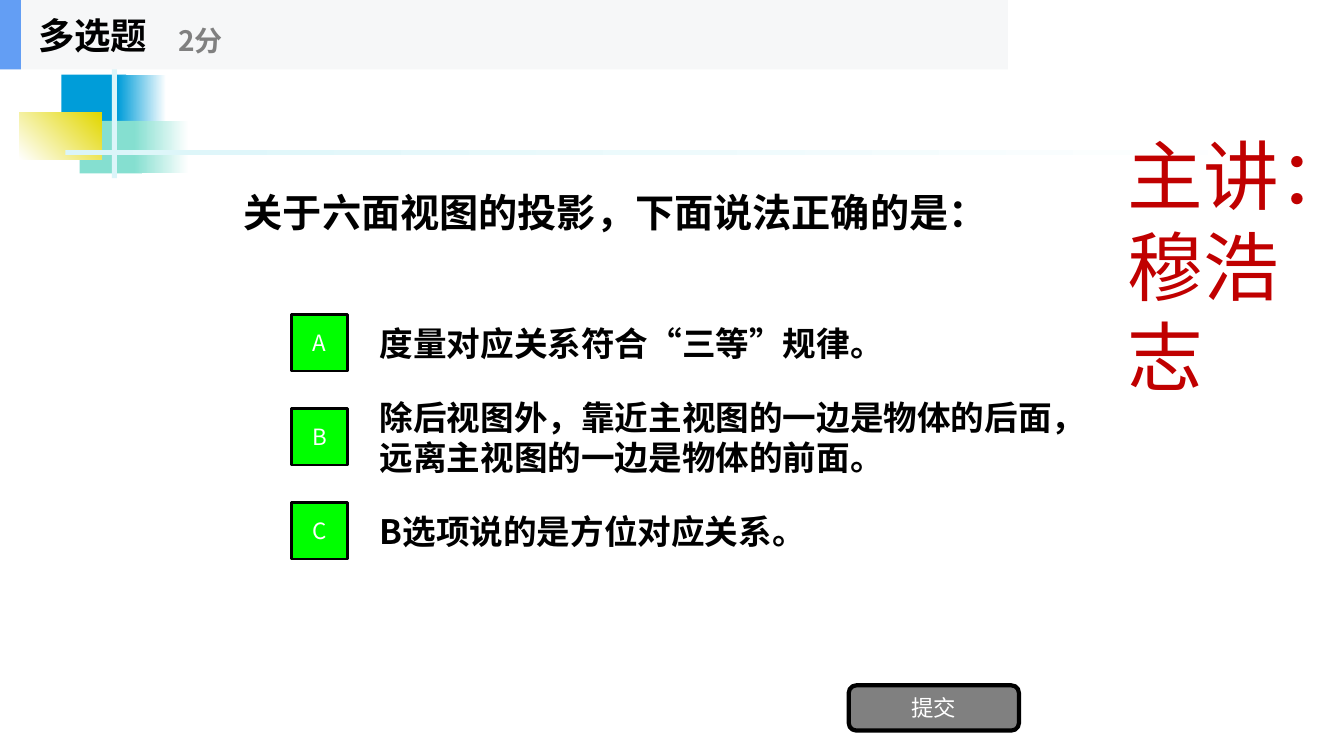
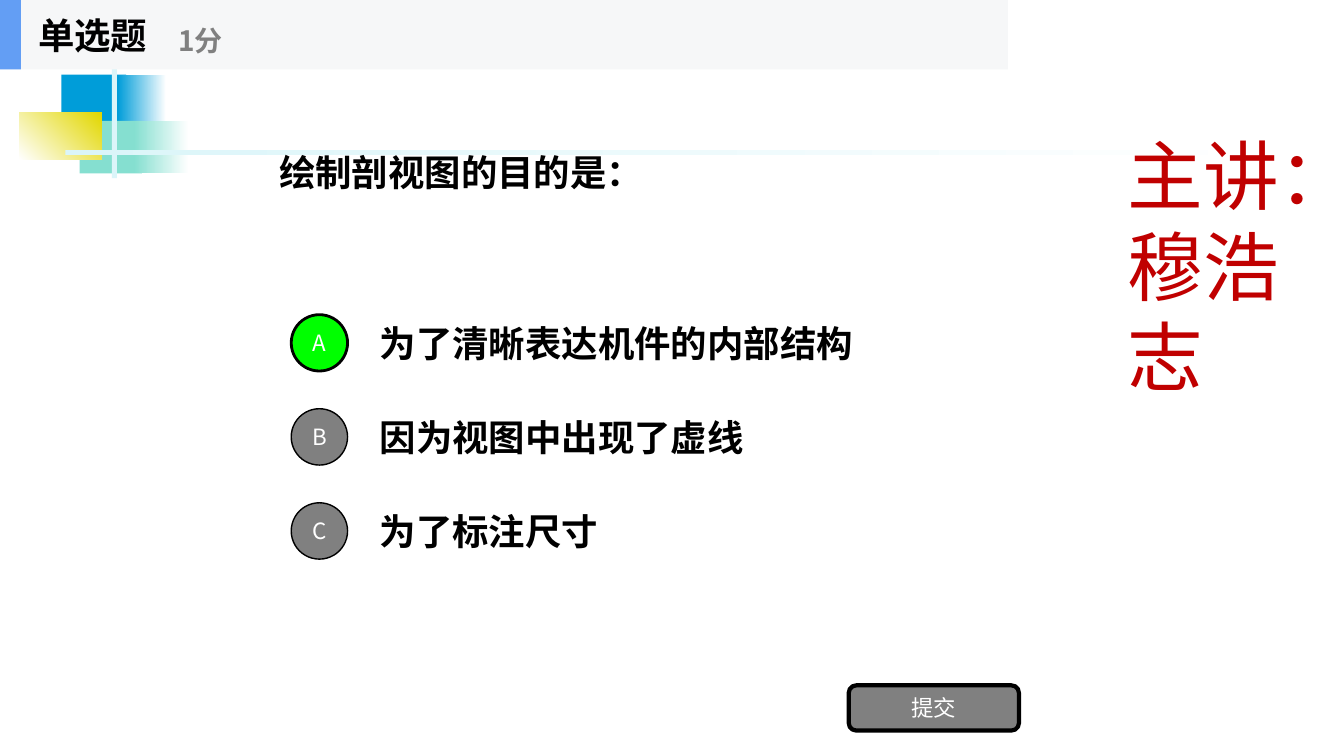
from lxml.etree import SubElement
from pptx import Presentation
from pptx.dml.color import RGBColor
from pptx.enum.shapes import MSO_SHAPE as Preset
from pptx.enum.text import MSO_ANCHOR as Anchor, MSO_AUTO_SIZE as AutoSize, PP_ALIGN as Align
from pptx.oxml.ns import qn
from pptx.util import Cm, Pt

FONT = "Noto Sans CJK SC"
COLORS = {
    "black": "000000",
    "white": "FFFFFF",
    "gray": "808080",
    "band": "F6F7F8",
    "band_accent": "639EF4",
    "blue": "009DD9",
    "teal": "85DFD0",
    "yellow": "E2D700",
    "pale": "DBF5F9",
    "red": "C00000",
    "correct": "00FF00",
}
# Left, top, width, height in cm; gradient colours or one colour; angle
DECORATION = [
    ((1.55, 1.88, 1.63, 1.32), ["blue"], 0),
    ((2.97, 1.88, 1.22, 1.32), ["blue", "white"], 0),
    ((2.01, 3.05, 1.57, 1.32), ["teal"], 0),
    ((3.38, 3.05, 1.37, 1.32), ["teal", "white"], 0),
    ((0.48, 2.84, 2.08, 1.17), ["white", "yellow"], 45),
    ((2.82, 1.57, 0.13, 2.92), ["pale"], 0),
    ((1.65, 3.78, 30.48, 0.13), ["pale", "white"], 0),
    ((0, 0, 25.4, 1.75), ["band"], 0),
    ((0, 0, 0.53, 1.75), ["band_accent"], 0),
]
OPTION_TOP = 7.75
OPTION_PITCH = 2.37
OPTION_HEIGHT = 1.78
MARKER_SIZE = 1.42


def rgb(name):
    return RGBColor.from_string(COLORS[name])


def box(values):
    return [Cm(value) for value in values]


def write(shape, text, size, color, bold=False, align=Align.LEFT, anchor=Anchor.MIDDLE):
    frame = shape.text_frame
    frame.word_wrap = True
    frame.auto_size = AutoSize.NONE
    frame.vertical_anchor = anchor
    paragraph = frame.paragraphs[0]
    paragraph.alignment = align
    run = paragraph.add_run()
    run.text = text
    font = run.font
    font.size = Pt(size)
    font.bold = bold
    font.color.rgb = rgb(color)
    font.name = FONT
    SubElement(run._r.get_or_add_rPr(), qn("a:ea"), typeface=FONT)


def add_text(slide, bounds, text, size, color, **style):
    text_box = slide.shapes.add_textbox(*box(bounds))
    write(text_box, text, size, color, **style)
    return text_box


def add_block(slide, bounds, colors, angle):
    """Add a borderless rectangle, plain or with a two-colour gradient."""
    block = slide.shapes.add_shape(Preset.RECTANGLE, *box(bounds))
    block.shadow.inherit = False
    block.line.fill.background()
    if len(colors) == 1:
        block.fill.solid()
        block.fill.fore_color.rgb = rgb(colors[0])
    else:
        block.fill.gradient()
        block.fill.gradient_angle = angle
        for stop, color in zip(block.fill.gradient_stops, colors):
            stop.color.rgb = rgb(color)
    return block


def add_button(slide, preset, bounds, text, fill, line_width):
    button = slide.shapes.add_shape(preset, *box(bounds))
    button.shadow.inherit = False
    button.fill.solid()
    button.fill.fore_color.rgb = rgb(fill)
    button.line.color.rgb = rgb("black")
    button.line.width = Pt(line_width)
    write(button, text, 16, "white", align=Align.CENTER)
    frame = button.text_frame
    frame.margin_left = frame.margin_right = frame.margin_top = frame.margin_bottom = 0


def move_shared_to_layout(slide, layout):
    """Draw the common decoration once and hand it over to the layout."""
    shared = [add_block(slide, *block) for block in DECORATION]
    shared.append(add_text(slide, (28.17, 3.12, 5.13, 0.81), "主讲：穆浩志", 54, "red",
                           anchor=Anchor.TOP))
    for shape in shared:
        layout.shapes.element.append(shape.element)


def add_title(slide, bounds, text, size):
    title = slide.shapes.title
    title.left, title.top, title.width, title.height = box(bounds)
    write(title, text, size, "black", bold=True)


def add_header(slide, kind, points):
    add_text(slide, (0.71, 0, 5.28, 1.75), kind, 26, "black", bold=True)
    add_text(slide, (4.24, 0.3, 6.35, 1.42), points, 20, "gray", bold=True)


def add_options(slide, preset, options, size, correct):
    for index, (letter, text) in enumerate(zip("ABC", options)):
        top = OPTION_TOP + index * OPTION_PITCH
        add_text(slide, (9.32, top, 17.78, OPTION_HEIGHT), text, size, "black", bold=True)
        is_correct = letter in correct
        marker_top = top + (OPTION_HEIGHT - MARKER_SIZE) / 2
        add_button(slide, preset, (7.34, marker_top, MARKER_SIZE, MARKER_SIZE), letter,
                   "correct" if is_correct else "gray", 2 if is_correct else 1)


def add_submit(slide):
    add_button(slide, Preset.ROUNDED_RECTANGLE, (21.39, 17.27, 4.29, 1.14), "提交", "gray", 3)


def main():
    presentation = Presentation()
    presentation.slide_width, presentation.slide_height = Cm(33.87), Cm(19.05)
    layout = presentation.slide_layouts.get_by_name("Title Only")

    multiple = presentation.slides.add_slide(layout)
    move_shared_to_layout(multiple, layout)
    add_title(multiple, (5.89, 3.71, 22.5, 3.25), "关于六面视图的投影，下面说法正确的是：", 28)
    add_options(multiple, Preset.RECTANGLE, [
        "度量对应关系符合“三等”规律。",
        "除后视图外，靠近主视图的一边是物体的后面，远离主视图的一边是物体的前面。",
        "B选项说的是方位对应关系。",
    ], 24, "ABC")
    add_header(multiple, "多选题", "2分")
    add_submit(multiple)

    single = presentation.slides.add_slide(layout)
    add_title(single, (6.78, 2.67, 20.32, 3.35), "绘制剖视图的目的是：", 26)
    add_options(single, Preset.OVAL, [
        "为了清晰表达机件的内部结构",
        "因为视图中出现了虚线",
        "为了标注尺寸",
    ], 26, "A")
    add_header(single, "单选题", "1分")
    add_submit(single)

    presentation.save("out.pptx")


if __name__ == "__main__":
    main()
